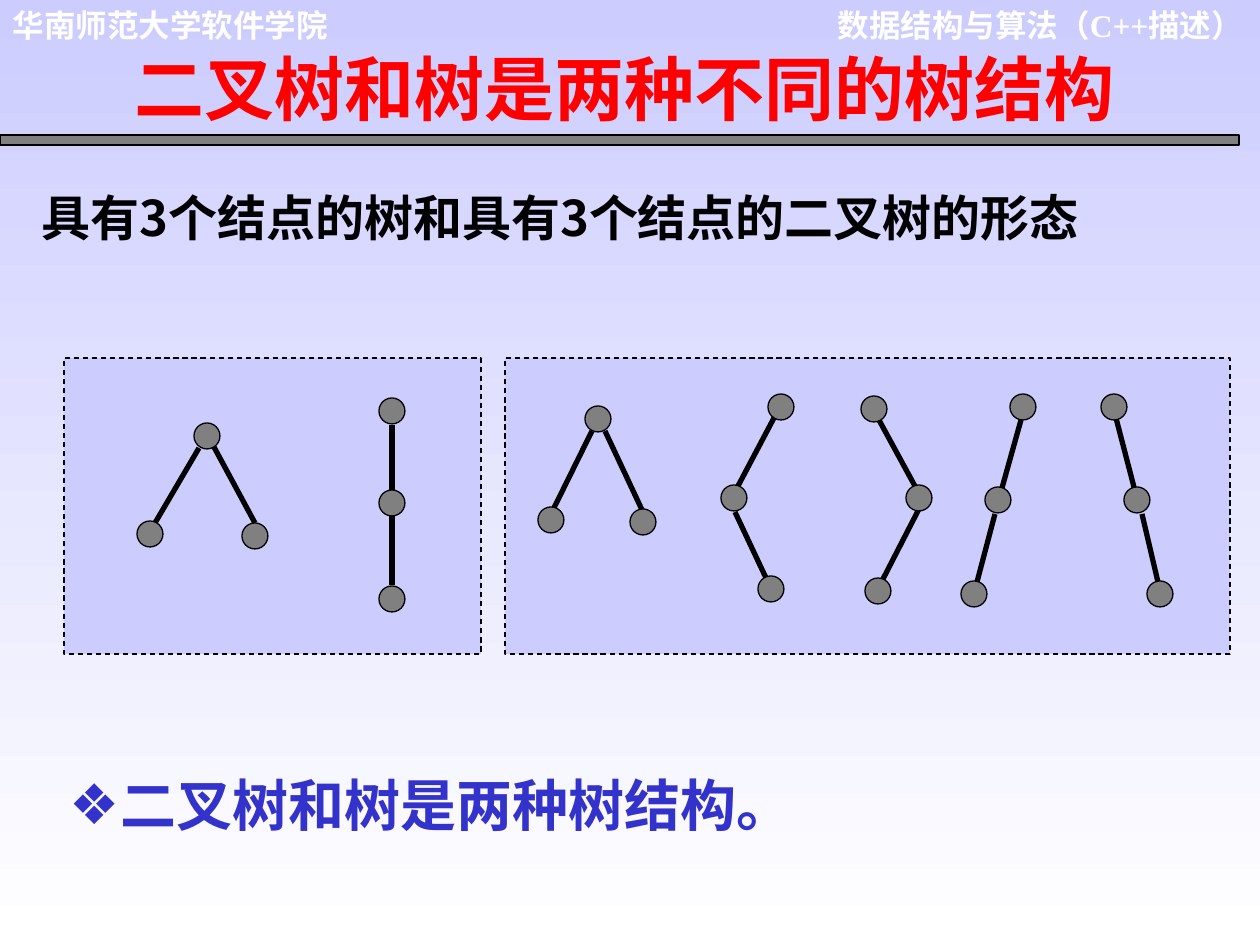
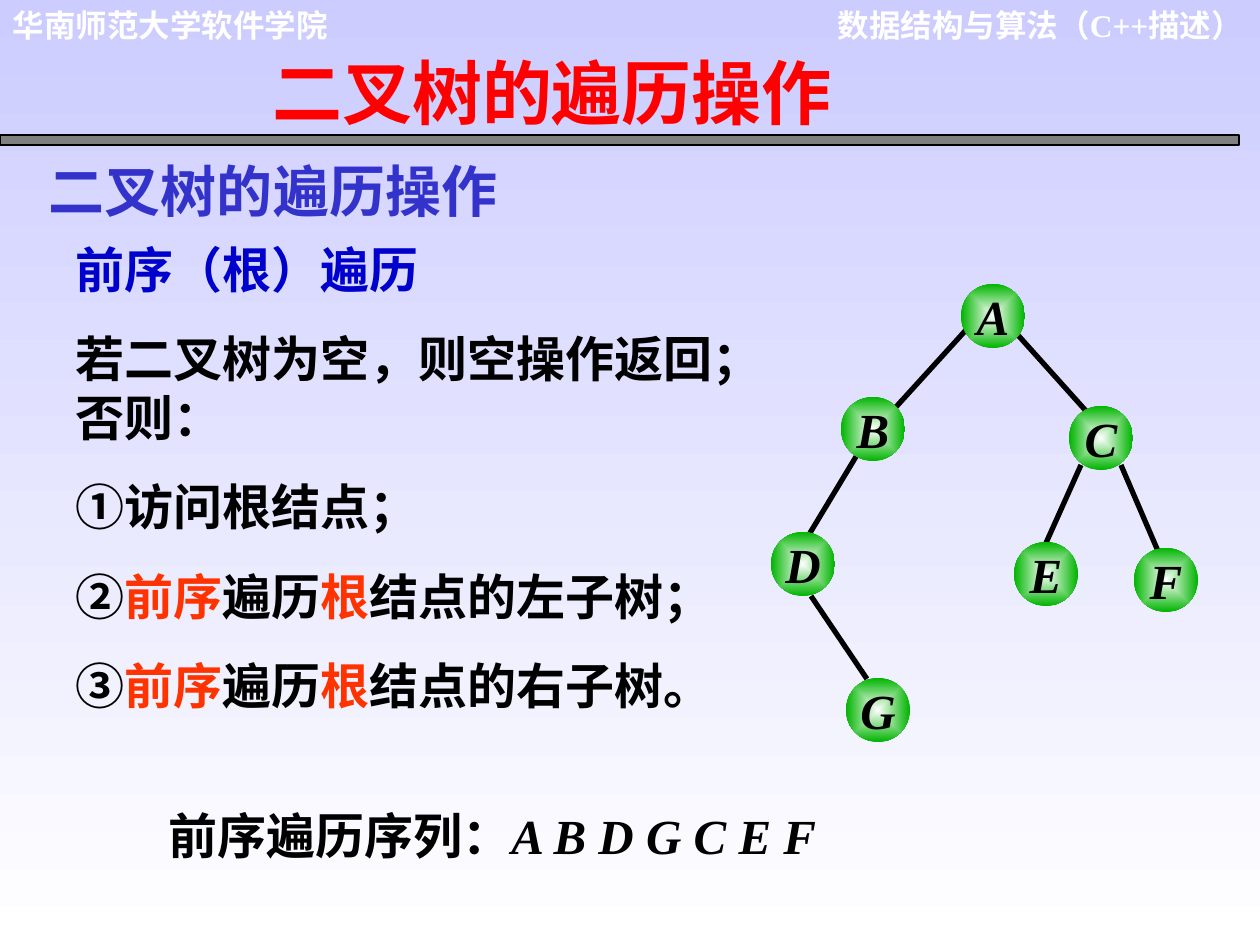
from lxml import etree
from pptx import Presentation
from pptx.dml.color import RGBColor
from pptx.enum.dml import MSO_LINE
from pptx.enum.shapes import MSO_CONNECTOR, MSO_SHAPE
from pptx.enum.text import MSO_ANCHOR, MSO_AUTO_SIZE, PP_ALIGN
from pptx.oxml.ns import qn
from pptx.util import Emu, Pt

LEFT, CENTER, RIGHT = PP_ALIGN.LEFT, PP_ALIGN.CENTER, PP_ALIGN.RIGHT
TOP, MIDDLE = MSO_ANCHOR.TOP, MSO_ANCHOR.MIDDLE
RECTANGLE, OVAL = MSO_SHAPE.RECTANGLE, MSO_SHAPE.OVAL
DASH, STRAIGHT = MSO_LINE.DASH, MSO_CONNECTOR.STRAIGHT
NO_FIT = MSO_AUTO_SIZE.NONE

PX_PER_INCH = 126
PAGE = (1260, 945)
SERIF, SANS, CJK = "Times New Roman", "Arial", "Noto Sans CJK SC"
COLORS = {
    "lavender": "CCCCFF", "white": "FFFFFF", "black": "000000",
    "gray": "808080", "red": "FF0000", "orange": "FF3300",
    "indigo": "3333CC", "blue": "0000CC", "green": "00B400",
}

HEADERS = [
    ("华南师范大学软件学院", (0, 0, 341, 50), SANS, LEFT),
    ("数据结构与算法（C++描述）", (790, 0, 466, 50), SERIF, RIGHT),
]
BAND = (0, 135, 1239, 10)

FORMS_TITLE = "二叉树和树是两种不同的树结构"
FORMS_INTRO = "具有3个结点的树和具有3个结点的二叉树的形态"
FORMS_POINT = "二叉树和树是两种树结构。"
PANELS = [(64, 358, 417, 296), (505, 358, 725, 296)]
SMALL_NODE = 26
SMALL_TREES = [
    ([(207, 436), (150, 534), (255, 536)],
     [(199, 448, 155, 523), (214, 447, 255, 523)]),
    ([(392, 411), (392, 503), (392, 599)],
     [(392, 425, 392, 493), (392, 515, 392, 585)]),
    ([(598, 419), (551, 520), (643, 522)],
     [(592, 431, 552, 512), (605, 431, 643, 512)]),
    ([(781, 407), (734, 498), (771, 589)],
     [(774, 418, 737, 488), (735, 512, 767, 580)]),
    ([(874, 409), (919, 498), (878, 591)],
     [(879, 420, 916, 488), (919, 509, 881, 583)]),
    ([(1023, 407), (998, 500), (974, 594)],
     [(1021, 420, 1002, 488), (995, 514, 977, 582)]),
    ([(1114, 407), (1137, 500), (1160, 594)],
     [(1116, 418, 1135, 491), (1142, 514, 1158, 582)]),
]

TRAVERSAL_TITLE = "二叉树的遍历操作"
ROOT_STEP = [("前序", {"color": "orange"}), "遍历", ("根", {"color": "orange"})]
TRAVERSAL_STEPS = [
    [("前序（根）遍历", {"color": "blue", "font": CJK})],
    ["若二叉树为空，则空操作返回；否则："],
    ["①访问根结点；"],
    ["②", *ROOT_STEP, "结点的左子树；"],
    ["③", *ROOT_STEP, "结点的右子树。"],
]
SEQUENCE = [["前序遍历序列：", ("A B D G C E F", {"italic": True})]]
LARGE_NODE = 64
LETTERS = {
    "A": (993, 316), "B": (873, 429), "C": (1101, 438), "D": (803, 564),
    "E": (1046, 574), "F": (1166, 580), "G": (878, 710),
}
BRANCHES = [
    (966, 330, 896, 407), (1017, 334, 1087, 412), (857, 455, 810, 533),
    (811, 596, 867, 679), (1081, 465, 1046, 543), (1121, 465, 1158, 551),
]


def px(length):
    return Emu(round(length * 914400 / PX_PER_INCH))


def rgb(name):
    return RGBColor.from_string(COLORS[name])


def add_text_shadow(span):
    effects = etree.Element(qn("a:effectLst"))
    shadow = etree.SubElement(effects, qn("a:outerShdw"), dist="38100", dir="2700000", algn="tl")
    etree.SubElement(shadow, qn("a:srgbClr"), val=COLORS["gray"])
    span.font._element.find(qn("a:latin")).addprevious(effects)


def set_bullet(para, bullet, hang):
    properties = para._p.get_or_add_pPr()
    properties.set("marL", str(px(hang)))
    properties.set("indent", str(-px(hang)))
    if bullet:
        color = etree.SubElement(properties, qn("a:buClr"))
        etree.SubElement(color, qn("a:srgbClr"), val=COLORS["indigo"])
        etree.SubElement(properties, qn("a:buChar"), char=bullet)
    else:
        etree.SubElement(properties, qn("a:buNone"))


def write(box, text, size=28, color="black", font=SERIF, italic=False, align=LEFT,
          anchor=TOP, before=0, shadow=False, bullet=None, hang=0,
          inset=(13, 6), wrap=True):
    frame = box.text_frame
    frame.word_wrap = wrap
    frame.auto_size = NO_FIT
    frame.vertical_anchor = anchor
    frame.margin_left = frame.margin_right = px(inset[0])
    frame.margin_top = frame.margin_bottom = px(inset[1])
    lines = [[text]] if isinstance(text, str) else text
    for index, line in enumerate(lines):
        para = frame.add_paragraph() if index else frame.paragraphs[0]
        para.alignment = align
        para.space_before = Pt(before if index else 0)
        set_bullet(para, bullet, hang)
        for part in line:
            words, changes = (part, {}) if isinstance(part, str) else part
            span = para.add_run()
            span.text = words
            span.font.size = Pt(size)
            span.font.bold = True
            span.font.italic = changes.get("italic", italic)
            span.font.color.rgb = rgb(changes.get("color", color))
            span.font.name = changes.get("font", font)
            etree.SubElement(span.font._element, qn("a:ea"), typeface=CJK)
            if shadow:
                add_text_shadow(span)


def place(box, area):
    box.left, box.top, box.width, box.height = map(px, area)
    return box


def add_text(page, area, text, **style):
    box = page.shapes.add_textbox(*map(px, area))
    write(box, text, **style)
    return box


def fill_gradient(fill, start, end):
    fill.gradient()
    for stop, name in zip(fill.gradient_stops, (start, end)):
        stop.color.rgb = rgb(name)


def add_shape(page, kind, area, fill="gray", dash=None):
    shape = page.shapes.add_shape(kind, *map(px, area))
    shape.shadow.inherit = False
    shape.fill.solid()
    shape.fill.fore_color.rgb = rgb(fill)
    shape.line.color.rgb = rgb("black")
    shape.line.width = Pt(0.75)
    if dash:
        shape.line.dash_style = dash
    return shape


def add_node(page, center, size):
    x, y = center
    return add_shape(page, OVAL, (x - size / 2, y - size / 2, size, size))


def add_letter_node(page, letter, center):
    node = add_node(page, center, LARGE_NODE)
    node.line.fill.background()
    fill_gradient(node.fill, "white", "green")
    linear = node._element.spPr.find(".//" + qn("a:lin"))
    radial = etree.Element(qn("a:path"), path="rect")
    etree.SubElement(radial, qn("a:fillToRect"), l="50000", t="50000", r="50000", b="50000")
    linear.getparent().replace(linear, radial)
    write(node, letter, italic=True, align=CENTER, anchor=MIDDLE, inset=(0, 0), wrap=False)


def add_edges(page, edges):
    for edge in edges:
        line = page.shapes.add_connector(STRAIGHT, *map(px, edge))
        line.line.color.rgb = rgb("black")
        line.line.width = Pt(3)
        etree.SubElement(line._element.spPr, qn("a:effectLst"))


def add_page(deck, title, area, **style):
    page = deck.slides.add_slide(deck.slide_layouts[1])
    heading = place(page.shapes.title, area)
    write(heading, title, size=40, color="red", **style)
    return page


def share_frame(deck, page):
    master = deck.slide_master
    fill = master.background.fill
    fill_gradient(fill, "lavender", "white")
    fill.gradient_angle = 270
    parts = [add_text(page, area, text, size=18, color="white", font=font, align=align)
             for text, area, font, align in HEADERS]
    parts.append(add_shape(page, RECTANGLE, BAND))
    for part in parts:
        master.shapes.element.append(part.element)


def build_forms(deck):
    page = add_page(deck, FORMS_TITLE, (122, 40, 1070, 97))
    share_frame(deck, page)
    add_text(page, (29, 181, 1106, 72), FORMS_INTRO, font=CJK, anchor=MIDDLE)
    for panel in PANELS:
        add_shape(page, RECTANGLE, panel, fill="lavender", dash=DASH)
    for nodes, edges in SMALL_TREES:
        add_edges(page, edges)
        for center in nodes:
            add_node(page, center, SMALL_NODE)
    body = place(page.placeholders[1], (57, 765, 975, 81))
    write(body, FORMS_POINT, size=32, color="indigo", bullet="❖", hang=50)


def build_traversal(deck):
    page = add_page(deck, TRAVERSAL_TITLE, (179, 44, 746, 97), align=CENTER, shadow=True)
    add_text(page, (36, 150, 746, 81), TRAVERSAL_TITLE, size=32, color="indigo",
             font=CJK, shadow=True)
    body = place(page.placeholders[1], (76, 233, 689, 489))
    write(body, TRAVERSAL_STEPS, before=17.5, inset=(0, 6))
    add_text(page, (156, 799, 706, 72), SEQUENCE)
    add_edges(page, BRANCHES)
    for letter, center in LETTERS.items():
        add_letter_node(page, letter, center)


def main():
    deck = Presentation()
    deck.slide_width, deck.slide_height = map(px, PAGE)
    build_forms(deck)
    build_traversal(deck)
    deck.save("out.pptx")


if __name__ == "__main__":
    main()
